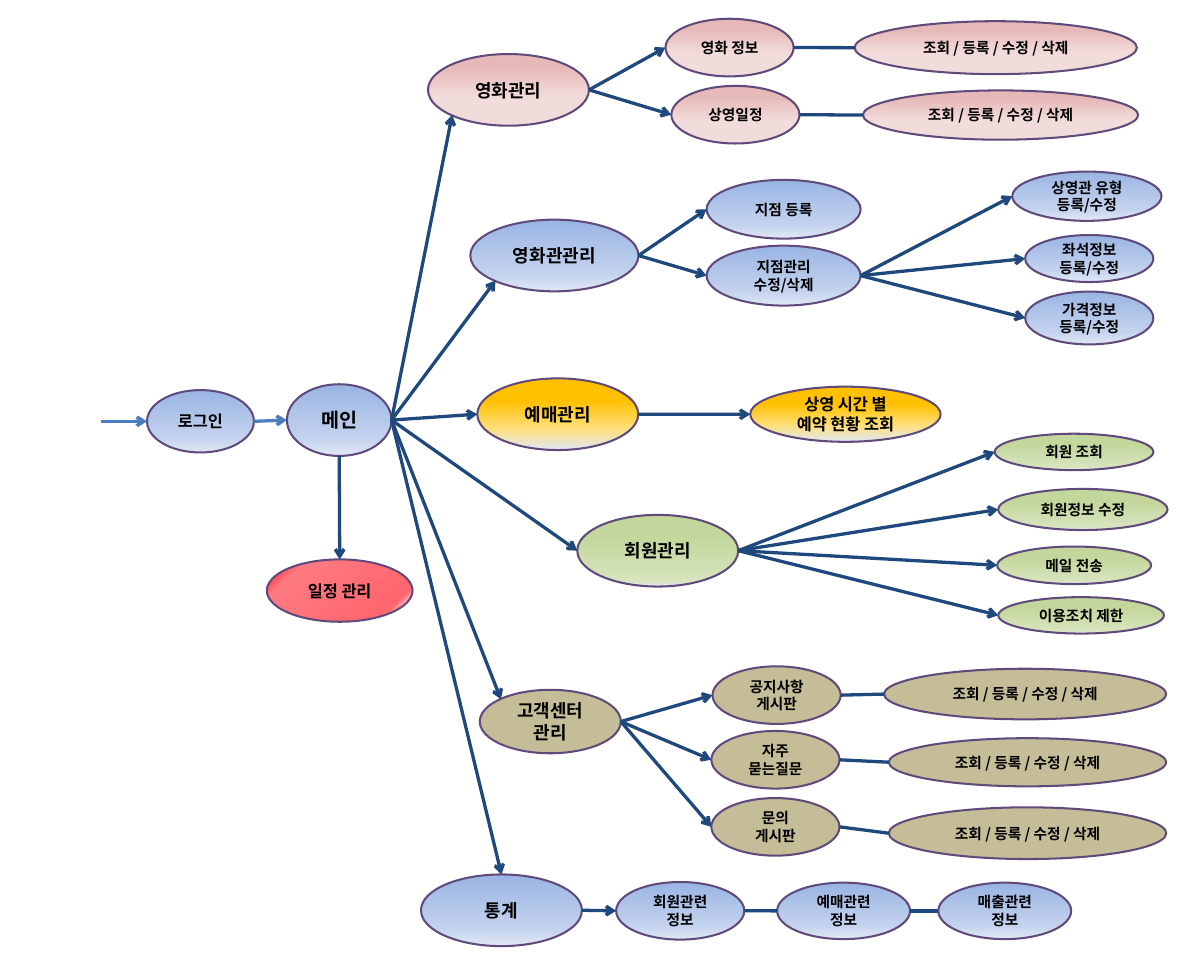
from dataclasses import dataclass

from lxml.etree import SubElement
from pptx import Presentation
from pptx.dml.color import RGBColor
from pptx.enum.shapes import MSO_CONNECTOR, MSO_SHAPE
from pptx.enum.text import MSO_ANCHOR, PP_ALIGN
from pptx.oxml.ns import qn
from pptx.util import Pt

TOP, TOP_LEFT, LEFT, BOTTOM_LEFT, BOTTOM, RIGHT = 0, 1, 2, 3, 4, 6
SITES = {TOP: (0.5, 0), TOP_LEFT: (0.15, 0.15), LEFT: (0, 0.5),
         BOTTOM_LEFT: (0.15, 0.85), BOTTOM: (0.5, 1), RIGHT: (1, 0.5)}
NAVY, BLUE = "1F497D", "4B7EBC"
SKY = (90, [(0, "9AB5E4"), (75, "C2D1ED"), (100, "E1E8F5")])
ROSE = (90, [(17, "E6B9B8"), (62, "F2DCDB")])
GOLD = (90, [(0, "FFC000"), (31, "FFC000"), (70, "FFDF79"), (100, "E1E8F5")])
GREEN = (90, [(28, "C3D69B"), (92, "D7E4BD"), (100, "E1E8F5")])
RED = (45, [(0, "FF0000"), (19, "FF7981"), (83, "FF666D"), (88, "FFAFBB"),
            (100, "FFA5B1"), (100, "FFEBFA")])
TAN = "C4BD97"
ACTIONS = "조회 / 등록 / 수정 / 삭제"


@dataclass
class Topic:
    text: str
    box: tuple
    children: tuple = ()
    size: int = 9
    tone: object = None
    enter: int = LEFT
    stroke: str = NAVY
    arrow: bool = True


def rgb(value):
    return RGBColor.from_string(value)


class Map:
    font = "Noto Sans CJK KR"
    outline = "604A7B"

    def __init__(self, slide):
        self.slide = slide

    def paint(self, shape, tone):
        if isinstance(tone, str):
            shape.fill.solid()
            shape.fill.fore_color.rgb = rgb(tone)
            return
        angle, stops = tone
        shape.fill.gradient()
        shape.fill.gradient_angle = 360 - angle
        stop_list = shape._element.spPr.find(qn("a:gradFill")).find(qn("a:gsLst"))
        for stop in list(stop_list):
            stop_list.remove(stop)
        for position, value in stops:
            stop = SubElement(stop_list, qn("a:gs"), pos=str(position * 1000))
            SubElement(stop, qn("a:srgbClr"), val=value)

    def label(self, shape, text, size):
        frame = shape.text_frame
        frame.word_wrap = True
        frame.vertical_anchor = MSO_ANCHOR.MIDDLE
        frame.text = text
        style = {"name": self.font, "size": Pt(size), "bold": True}
        for paragraph in frame.paragraphs:
            paragraph.alignment = PP_ALIGN.CENTER
            for run in paragraph.runs:
                for name, value in style.items():
                    setattr(run.font, name, value)
                run.font.color.rgb = rgb("000000")
                SubElement(run._r.get_or_add_rPr(), qn("a:ea"), typeface=self.font)

    def ellipse(self, topic, tone):
        shape = self.slide.shapes.add_shape(MSO_SHAPE.OVAL, *map(Pt, topic.box))
        shape.shadow.inherit = False
        shape.line.color.rgb = rgb(self.outline)
        shape.line.width = Pt(1.25)
        self.paint(shape, tone)
        self.label(shape, topic.text, topic.size)
        return shape

    def line(self, start, end, stroke, arrow):
        connector = self.slide.shapes.add_connector(
            MSO_CONNECTOR.STRAIGHT, *map(Pt, start + end))
        connector.line.color.rgb = rgb(stroke)
        connector.line.width = Pt(2)
        if arrow:
            SubElement(connector.line._get_or_add_ln(), qn("a:tailEnd"), type="arrow")
        SubElement(connector._element.spPr, qn("a:effectLst"))
        return connector

    def site(self, topic, index):
        left, top, width, height = topic.box
        across, down = SITES[index]
        return left + across * width, top + down * height

    def branch(self, topic, tone):
        tone = topic.tone or tone
        shape = self.ellipse(topic, tone)
        for child in topic.children:
            child_shape = self.branch(child, tone)
            leave = BOTTOM if child.tone is RED else RIGHT
            connector = self.line(self.site(topic, leave), self.site(child, child.enter),
                                  child.stroke, child.arrow)
            glue = connector._element.find(qn("p:nvCxnSpPr")).find(qn("p:cNvCxnSpPr"))
            for tag, end, index in (("a:stCxn", shape, leave),
                                    ("a:endCxn", child_shape, child.enter)):
                SubElement(glue, qn(tag), id=str(end.shape_id), idx=str(index))
        return shape


def actions(*box):
    return (Topic(ACTIONS, box, arrow=False),)


movies = Topic("영화관리", (262.1, 33.1, 98.6, 43.9), (
    Topic("영화 정보", (407.5, 11.5, 78.5, 35.3), actions(523.4, 13, 172.8, 32.4)),
    Topic("상영일정", (411.1, 52.6, 78.5, 35.3), actions(528.5, 55.4, 168.5, 30.2)),
), 11, ROSE, BOTTOM_LEFT)

theaters = Topic("영화관관리", (288, 134.6, 103, 43.9), (
    Topic("지점 등록", (432.7, 110.2, 94.3, 36)),
    Topic("지점관리\n수정/삭제", (432.7, 150.5, 94.3, 36.7), (
        Topic("상영관 유형\n등록/수정", (619.9, 105.1, 91.4, 30.2)),
        Topic("좌석정보\v등록/수정", (627.8, 144, 78.5, 28.8)),
        Topic("가격정보\n등록/수정", (627.8, 178.6, 78.5, 32.4)),
    )),
), 11, SKY, BOTTOM_LEFT)

bookings = Topic("예매관리", (292.3, 231.8, 98.6, 43.9), (
    Topic("상영 시간 별 예약 현황 조회", (459.4, 236.9, 116.6, 33.8), size=10),
), 11, GOLD)

members = Topic("회원관리", (353.5, 315.4, 98.6, 43.9), (
    Topic("회원 조회", (609.1, 265.7, 97.2, 22.3)),
    Topic("회원정보 수정", (611.3, 299.5, 103.7, 25.2)),
    Topic("메일 전송", (610.6, 334.8, 94.3, 23)),
    Topic("이용조치 제한", (611.3, 365.8, 101.5, 22.3)),
), 11, GREEN)

support = Topic("고객센터 관리", (293.8, 422.6, 86.4, 38.9), (
    Topic("공지사항 게시판", (436.3, 408.2, 78.5, 35.3), actions(541.4, 409.7, 172.8, 31)),
    Topic("자주 묻는질문", (435.6, 447.8, 78.5, 35.3), actions(544.3, 452.2, 169.9, 29.5)),
    Topic("문의\n게시판", (435.6, 488.9, 78.5, 35.3), actions(544.3, 494.6, 169.9, 31.7)),
), 11, TAN, TOP_LEFT)

sales = Topic("매출관련\n정보", (574.6, 540.7, 81.4, 34.6), arrow=False)
booking_figures = Topic("예매관련\n정보", (475.9, 540.7, 81.4, 34.6), (sales,), arrow=False)
member_figures = Topic("회원관련\n정보", (377.3, 540.3, 78.5, 35.3), (booking_figures,))
statistics = Topic("통계", (257.8, 535.7, 98.6, 43.9), (member_figures,), 11, SKY, TOP)

schedule = Topic("일정 관리", (163.4, 342.7, 89.3, 38.2), (), 10, RED, TOP)
main = Topic("메인", (175.7, 235.4, 64.1, 43.9),
             (movies, theaters, bookings, members, support, statistics, schedule),
             12, SKY, stroke=BLUE)
login = Topic("로그인", (90, 239, 65.5, 38.2), (main,), 10, SKY)

deck = Presentation()
deck.slide_width, deck.slide_height = Pt(737.28), Pt(595.44)
site_map = Map(deck.slides.add_slide(deck.slide_layouts[6]))
site_map.branch(login, SKY)
site_map.line((62, 258.1), site_map.site(login, LEFT), BLUE, True)
deck.save("out.pptx")
